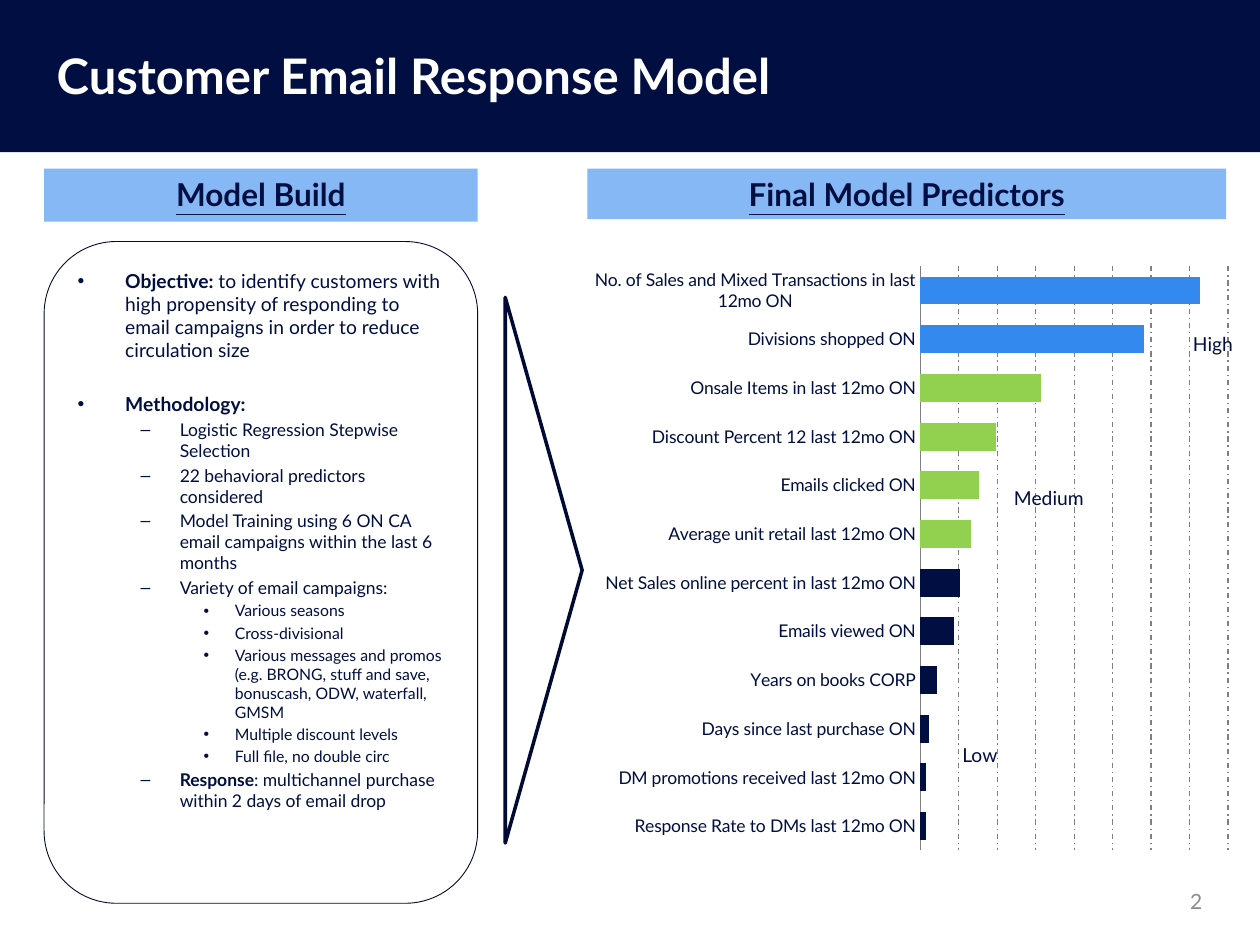
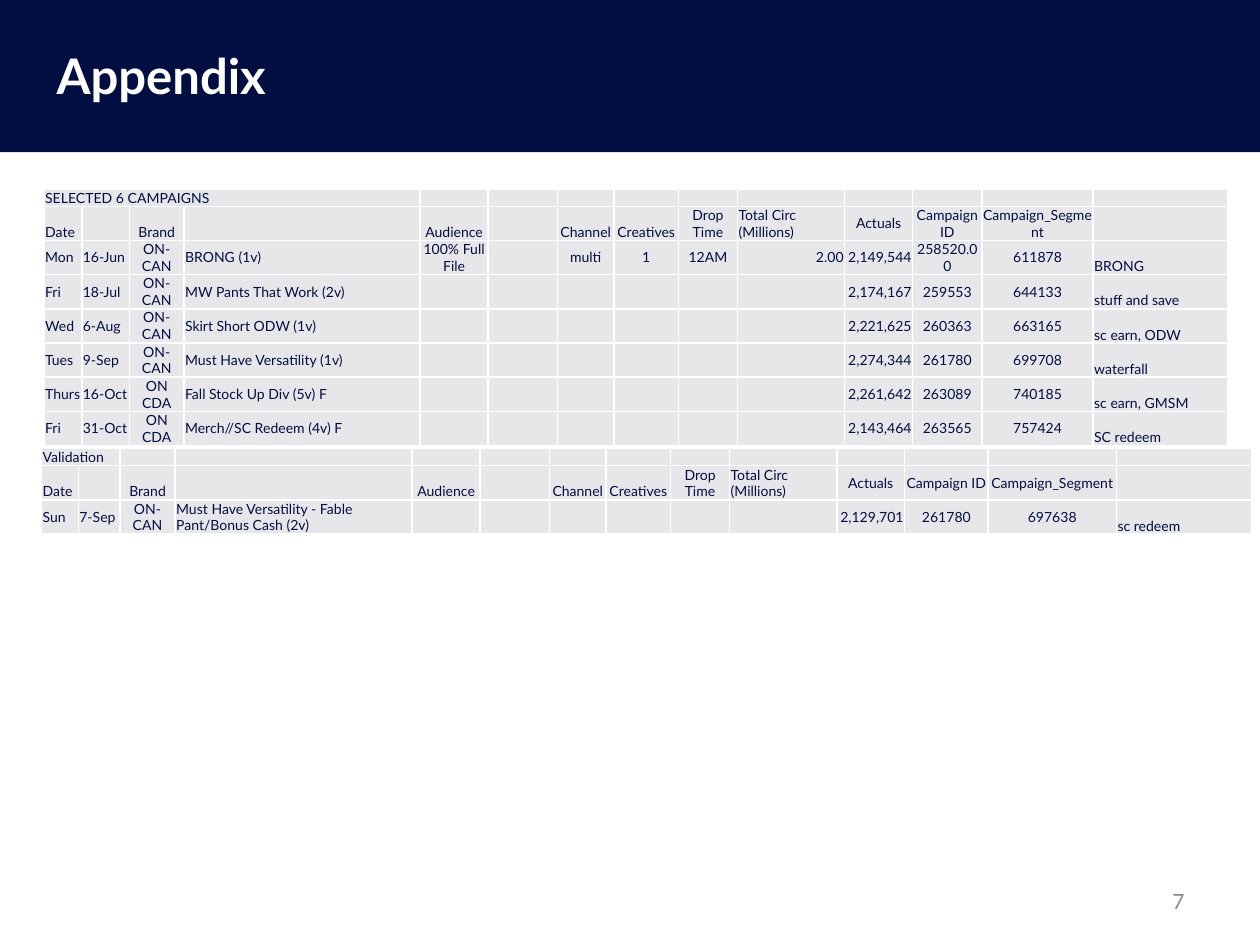
from lxml.etree import SubElement
from pptx import Presentation
from pptx.chart.data import CategoryChartData
from pptx.dml.color import RGBColor
from pptx.enum.chart import XL_CHART_TYPE, XL_TICK_MARK
from pptx.enum.dml import MSO_LINE
from pptx.enum.shapes import MSO_SHAPE
from pptx.enum.text import MSO_ANCHOR, MSO_AUTO_SIZE, PP_ALIGN
from pptx.oxml.ns import qn
from pptx.util import Cm, Pt

FONT = "Lato"
COLORS = {
    "band": "000E41", "text": "000E42", "outline": "000A32", "heading": "85B8F4",
    "high": "3389ED", "medium": "92D050", "low": "000E42", "grid": "808080",
    "cell": "E7E7E9", "page": "898A93", "white": "FFFFFF",
}

HEADINGS = [
    ("Model Build", (0.89, 3.4, 8.74, 1.07)),
    ("Final Model Predictors", (11.84, 3.4, 12.88, 1.02)),
]

LEVELS = [
    {"bullet": "•", "margin": 0.96, "indent": -0.96, "size": 11},
    {"bullet": "–", "margin": 2.06, "indent": -0.79, "size": 10},
    {"bullet": "•", "margin": 3.17, "indent": -0.63, "size": 9},
]
SECTION_GAP = 17.6
MODEL_BUILD = [
    (0, "Objective: ", "to identify customers with high propensity of responding to "
                       "email campaigns in order to reduce circulation size"),
    (0, "Methodology:", ""),
    (1, "", "Logistic Regression Stepwise Selection"),
    (1, "", "22 behavioral predictors considered"),
    (1, "", "Model Training using 6 ON CA email campaigns within the last 6 months"),
    (1, "", "Variety of email campaigns:"),
    (2, "", "Various seasons"),
    (2, "", "Cross-divisional"),
    (2, "", "Various messages and promos (e.g. BRONG, stuff and save, bonuscash, "
            "ODW, waterfall, GMSM"),
    (2, "", "Multiple discount levels"),
    (2, "", "Full file, no double circ"),
    (1, "Response", ": multichannel purchase within 2 days of email drop"),
]

PREDICTORS = [
    ("Response Rate to DMs last 12mo ON", 2, "low"),
    ("DM promotions received last 12mo ON", 2, "low"),
    ("Days since last purchase ON", 3, "low"),
    ("Years on books CORP", 6, "low"),
    ("Emails viewed ON", 12, "low"),
    ("Net Sales online percent in last 12mo ON", 14, "low"),
    ("Average unit retail last 12mo ON", 18, "medium"),
    ("Emails clicked ON", 21, "medium"),
    ("Discount Percent 12 last 12mo ON", 27, "medium"),
    ("Onsale Items in last 12mo ON", 43, "medium"),
    ("Divisions shopped ON", 80, "high"),
    ("No. of Sales and Mixed Transactions in last 12mo ON", 100, "high"),
]
AXIS_MAXIMUM, GRID_STEPS = 110, 8
PLOT_LAYOUT = {"x": 0.514, "y": 0.021, "w": 0.467, "h": 0.96}
IMPACT_LABELS = [
    ("High", (23.8, 6.58, 1.42, 0.74)),
    ("Medium", (20.19, 9.68, 2.11, 0.74)),
    ("Low", (19.15, 14.86, 2.11, 0.74)),
]

HEADER = ["Date", "", "Brand", "", "Audience", "", "Channel", "Creatives", "Drop Time",
          "Total Circ (Millions)", "Actuals", "Campaign ID", "Campaign_Segment", ""]
BLANKS = [""] * 6
CAMPAIGNS = [
    ["Mon", "16-Jun", "ON-CAN", "BRONG (1v)", "100% Full File", "", "multi", "1", "12AM",
     "2.00", "2,149,544", "258520.00", "611878", "BRONG"],
    ["Fri", "18-Jul", "ON-CAN", "MW Pants That Work (2v)", *BLANKS,
     "2,174,167", "259553", "644133", "stuff and save"],
    ["Wed", "6-Aug", "ON-CAN", "Skirt Short ODW (1v)", *BLANKS,
     "2,221,625", "260363", "663165", "sc earn, ODW"],
    ["Tues", "9-Sep", "ON-CAN", "Must Have Versatility (1v)", *BLANKS,
     "2,274,344", "261780", "699708", "waterfall"],
    ["Thurs", "16-Oct", "ON CDA", "Fall Stock Up Div (5v) F", *BLANKS,
     "2,261,642", "263089", "740185", "sc earn, GMSM"],
    ["Fri", "31-Oct", "ON CDA", "Merch//SC Redeem (4v) F", *BLANKS,
     "2,143,464", "263565", "757424", "SC redeem"],
]
VALIDATION = [
    ["Sun", "7-Sep", "ON-CAN", "Must Have Versatility - Fable Pant/Bonus Cash (2v)", *BLANKS,
     "2,129,701", "261780", "697638", "sc redeem"],
]
MIDDLE_WIDTHS = [1.37, 1.4, 1.14, 1.3, 1.19, 2.16, 1.37]
TABLES = [
    {"title": "SELECTED 6 CAMPAIGNS", "span": 4, "rows": CAMPAIGNS, "at": (0.89, 3.81),
     "widths": [0.76, 0.96, 1.1, 4.76, *MIDDLE_WIDTHS, 1.4, 2.24, 2.71]},
    {"title": "Validation", "span": 2, "rows": VALIDATION, "at": (0.84, 9.04),
     "widths": [0.74, 0.84, 1.11, 4.78, *MIDDLE_WIDTHS, 1.68, 2.59, 2.72]},
]
CENTERED_COLUMNS = {2, 4, 6, 7, 8, 11, 12}
RIGHT_COLUMNS = {9, 10}
MIDDLE_HEADERS = {10, 11, 12}
TITLE_ROW, TEXT_ROW = 0.34, 0.69


def color(name):
    return RGBColor.from_string(COLORS[name])


def lengths(box):
    return [Cm(value) for value in box]


def style(font, size, color_name="text", bold=None, underline=None):
    font.name = FONT
    font.size = Pt(size)
    font.color.rgb = color(color_name)
    font.bold = bold
    font.underline = underline


def write(shape, text, size, color_name="text", align=PP_ALIGN.LEFT,
          anchor=MSO_ANCHOR.TOP, bold=None, underline=None):
    frame = shape.text_frame
    frame.word_wrap = True
    frame.auto_size = MSO_AUTO_SIZE.NONE
    frame.vertical_anchor = anchor
    frame.text = text
    paragraph = frame.paragraphs[0]
    paragraph.alignment = align
    style(paragraph.runs[0].font, size, color_name, bold, underline)


def move(shape, box):
    shape.left, shape.top, shape.width, shape.height = lengths(box)


def add_figure(slide, kind, box, fill=None, line=None, line_width=1):
    shape = slide.shapes.add_shape(kind, *lengths(box))
    shape.shadow.inherit = False
    if fill:
        shape.fill.solid()
        shape.fill.fore_color.rgb = color(fill)
    else:
        shape.fill.background()
    if line:
        shape.line.color.rgb = color(line)
        shape.line.width = Pt(line_width)
    else:
        shape.line.fill.background()
    return shape


def add_slide(presentation, layout_index, title, page, page_left):
    slide = presentation.slides.add_slide(presentation.slide_layouts[layout_index])
    band = add_figure(slide, MSO_SHAPE.RECTANGLE, (0, -0.08, 25.4, 3.15), fill="band")
    slide.shapes.title._element.addprevious(band._element)
    move(slide.shapes.title, (0.89, 0.78, 24.13, 1.45))
    write(slide.shapes.title, title, 28, "white", bold=True)
    number = slide.shapes.add_textbox(*lengths((page_left, 17.65, 5.92, 1.02)))
    write(number, page, 12, "page", PP_ALIGN.RIGHT, MSO_ANCHOR.MIDDLE)
    return slide


def fill_list(body):
    move(body, (1.31, 5.3, 7.88, 12.47))
    frame = body.text_frame
    frame.auto_size = MSO_AUTO_SIZE.NONE
    frame.vertical_anchor = MSO_ANCHOR.TOP
    for index, (level, lead, rest) in enumerate(MODEL_BUILD):
        paragraph = frame.add_paragraph() if index else frame.paragraphs[0]
        look = LEVELS[level]
        paragraph.level = level
        new_section = index and level == 0
        paragraph.space_before = Pt(SECTION_GAP if new_section else look["size"] * 0.2)
        properties = paragraph._p.get_or_add_pPr()
        properties.set("marL", str(Cm(look["margin"])))
        properties.set("indent", str(Cm(look["indent"])))
        SubElement(properties, qn("a:buChar"), char=look["bullet"])
        for text, bold in ((lead, True), (rest, False)):
            if text:
                run = paragraph.add_run()
                run.text = text
                style(run.font, look["size"], bold=bold)


def add_predictor_chart(slide):
    names, values, impacts = zip(*PREDICTORS)
    data = CategoryChartData(number_format="0")
    data.categories = names
    data.add_series("Series 1", values)
    frame = slide.shapes.add_chart(XL_CHART_TYPE.BAR_CLUSTERED,
                                   *lengths((11.73, 5.11, 13.28, 12.27)), data)
    chart = frame.chart
    chart.has_legend = chart.has_title = False
    style(chart.font, 10)

    category_axis, value_axis = chart.category_axis, chart.value_axis
    category_axis.major_tick_mark = XL_TICK_MARK.NONE
    category_axis.format.line.color.rgb = color("grid")
    value_axis.minimum_scale = 0
    value_axis.maximum_scale = AXIS_MAXIMUM
    value_axis.major_unit = AXIS_MAXIMUM / GRID_STEPS
    value_axis.visible = False
    gridline = value_axis.major_gridlines.format.line
    gridline.color.rgb = color("grid")
    gridline.width = Pt(0.75)
    gridline.dash_style = MSO_LINE.DASH_DOT

    plot = chart.plots[0]
    plot.gap_width, plot.overlap = 75, -25
    plot.vary_by_categories = False
    series = plot.series[0]
    series.format.fill.solid()
    series.format.fill.fore_color.rgb = color("low")
    for index, impact in enumerate(impacts):
        if impact != "low":
            fill = series.points[index].format.fill
            fill.solid()
            fill.fore_color.rgb = color(impact)

    plot_area = chart._chartSpace.chart.plotArea
    for old_layout in plot_area.findall(qn("c:layout")):
        plot_area.remove(old_layout)
    layout = SubElement(plot_area, qn("c:layout"))
    plot_area.insert(0, layout)
    manual = SubElement(layout, qn("c:manualLayout"))
    settings = {"layoutTarget": "inner", "xMode": "edge", "yMode": "edge", **PLOT_LAYOUT}
    for tag, value in settings.items():
        SubElement(manual, qn(f"c:{tag}"), val=str(value))


def cell_format(row, column):
    if row == 0:
        return PP_ALIGN.LEFT, MSO_ANCHOR.BOTTOM
    if row == 1:
        centered = column in CENTERED_COLUMNS | MIDDLE_HEADERS
        anchor = MSO_ANCHOR.MIDDLE if column in MIDDLE_HEADERS else MSO_ANCHOR.BOTTOM
        return PP_ALIGN.CENTER if centered else PP_ALIGN.LEFT, anchor
    anchor = MSO_ANCHOR.BOTTOM if column == len(HEADER) - 1 else MSO_ANCHOR.MIDDLE
    if column in RIGHT_COLUMNS:
        return PP_ALIGN.RIGHT, anchor
    return PP_ALIGN.CENTER if column in CENTERED_COLUMNS else PP_ALIGN.LEFT, anchor


def format_cell(cell, text, align, anchor):
    cell.margin_left = cell.margin_right = Cm(0.02)
    cell.margin_top = cell.margin_bottom = 0
    cell.vertical_anchor = anchor
    properties = cell._tc.get_or_add_tcPr()
    for side in ("lnL", "lnR", "lnT", "lnB"):
        border = SubElement(properties, qn(f"a:{side}"), w=str(Pt(1)))
        fill = SubElement(border, qn("a:solidFill"))
        SubElement(fill, qn("a:srgbClr"), val=COLORS["white"])
    cell.fill.solid()
    cell.fill.fore_color.rgb = color("cell")
    paragraph = cell.text_frame.paragraphs[0]
    paragraph.alignment = align
    if text:
        paragraph.text = text
        style(paragraph.runs[0].font, 8)
    else:
        SubElement(paragraph._p, qn("a:endParaRPr"), sz="800")


def add_campaign_table(slide, content):
    title_row = [content["title"]] + [""] * (len(HEADER) - 1)
    rows = [title_row, HEADER, *content["rows"]]
    widths = content["widths"]
    heights = [TITLE_ROW] + [TEXT_ROW] * (len(rows) - 1)
    frame = slide.shapes.add_table(len(rows), len(widths), *lengths(content["at"]),
                                   Cm(sum(widths)), Cm(sum(heights)))
    table = frame.table
    table.first_row = table.horz_banding = False
    for column, width in zip(table.columns, widths):
        column.width = Cm(width)
    for row, height in zip(table.rows, heights):
        row.height = Cm(height)
    for row_index, texts in enumerate(rows):
        for column_index, text in enumerate(texts):
            format_cell(table.cell(row_index, column_index), text,
                        *cell_format(row_index, column_index))
    table.cell(0, 0).merge(table.cell(0, content["span"] - 1))


def build_model_slide(presentation):
    slide = add_slide(presentation, 1, "Customer Email Response Model", "2", 18.57)
    add_predictor_chart(slide)
    panel = add_figure(slide, MSO_SHAPE.ROUNDED_RECTANGLE, (0.89, 4.87, 8.74, 13.34),
                       line="outline", line_width=0.5)
    body = slide.placeholders[1]
    body._element.addprevious(panel._element)
    fill_list(body)
    for text, box in HEADINGS:
        heading = add_figure(slide, MSO_SHAPE.RECTANGLE, box, fill="heading")
        write(heading, text, 18, align=PP_ALIGN.CENTER, bold=True, underline=True)
    arrow = add_figure(slide, MSO_SHAPE.ISOSCELES_TRIANGLE, (5.46, 10.72, 11, 1.55),
                       line="outline", line_width=2)
    arrow.rotation = 90
    for text, box in IMPACT_LABELS:
        write(slide.shapes.add_textbox(*lengths(box)), text, 11)


def build_appendix_slide(presentation):
    slide = add_slide(presentation, 5, "Appendix", "7", 18.21)
    for content in TABLES:
        add_campaign_table(slide, content)


def main():
    presentation = Presentation()
    presentation.slide_width, presentation.slide_height = Cm(25.4), Cm(19.05)
    build_model_slide(presentation)
    build_appendix_slide(presentation)
    presentation.save("out.pptx")


if __name__ == "__main__":
    main()
